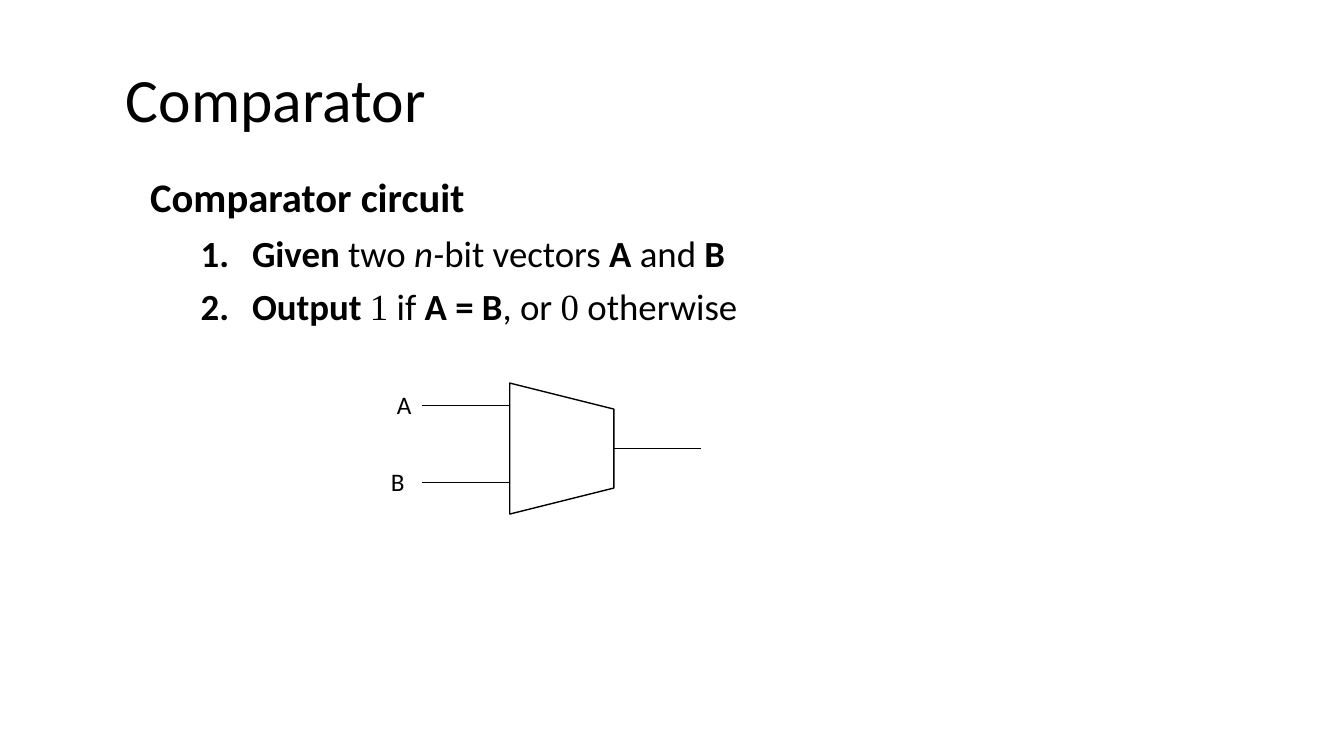
from lxml.etree import SubElement
from pptx import Presentation
from pptx.dml.color import RGBColor
from pptx.enum.shapes import MSO_CONNECTOR as Connector, MSO_SHAPE as Preset
from pptx.enum.text import MSO_ANCHOR as Anchor, MSO_AUTO_SIZE as AutoSize, PP_ALIGN as Align
from pptx.oxml.ns import qn
from pptx.util import Inches, Pt

BLACK = RGBColor(0, 0, 0)
TEXT_FONT, DIGIT_FONT = "Calibri", "Times New Roman"
WIDTH, HEIGHT = Inches(13.33), Inches(7.5)
GRID = 40  # columns and rows across the slide

# Each run is a text with its style: "b" bold, "i" italic, "d" digit font
STEPS = [
    [("Given ", "b"), ("two ", ""), ("n-", "i"), ("bit vectors ", ""),
     ("A", "b"), (" and ", ""), ("B", "b")],
    [("Output ", "b"), ("1", "d"), (" if ", ""), ("A = B", "b"),
     (", or ", ""), ("0", "d"), (" otherwise", "")],
]
# Label, its left column and the row of its wire
INPUTS = [("A", 11.52, 21.44), ("B", 11.34, 25.5)]
WIRE_LENGTH = 2.6
GATE_LEFT, GATE_TOP, GATE_WIDTH, GATE_HEIGHT = 15.17, 20.27, 3.1, 6.93


def col(count):
    return int(WIDTH * count / GRID)


def row(count):
    return int(HEIGHT * count / GRID)


def place(shape, left, top, width, height):
    shape.left, shape.top = col(left), row(top)
    shape.width, shape.height = col(width), row(height)


def set_font(font, size, bold=None):
    font.name, font.size, font.bold = TEXT_FONT, Pt(size), bold
    font.color.rgb = BLACK


def set_frame(frame, anchor, left, top):
    frame.auto_size, frame.vertical_anchor = AutoSize.NONE, anchor
    frame.margin_left, frame.margin_top = Inches(left), Inches(top)
    frame.margin_right = frame.margin_bottom = 0


def set_bullet(paragraph, left, indent, kind, **attributes):
    properties = paragraph._p.get_or_add_pPr()
    properties.set("marL", str(Inches(left)))
    properties.set("indent", str(Inches(indent)))
    SubElement(properties, qn(kind), **attributes)


def add_title(slide, text):
    title = slide.shapes.title
    place(title, 3.75, 2, 33.96, 6.67)
    set_frame(title.text_frame, Anchor.MIDDLE, 0, 0.04)
    title.text_frame.text = text
    paragraph = title.text_frame.paragraphs[0]
    paragraph.alignment, paragraph.line_spacing = Align.LEFT, 0.9
    set_font(paragraph.font, 44)


def add_step(frame, runs):
    paragraph = frame.add_paragraph()
    paragraph.level = 1
    paragraph.line_spacing, paragraph.space_before = 0.9, Pt(10)
    set_bullet(paragraph, 1.01, -0.51, "a:buAutoNum", type="arabicPeriod")
    for text, style in runs:
        run = paragraph.add_run()
        run.text = text
        set_font(run.font, 26.3, style == "b")
        run.font.italic = style == "i"
        if style == "d":
            run.font.name = DIGIT_FONT


def add_body(slide, heading, steps):
    body = slide.placeholders[1]
    place(body, 4.17, 9.23, 34.88, 10)
    frame = body.text_frame
    set_frame(frame, Anchor.TOP, 0.1, 0.03)
    frame.text = heading
    paragraph = frame.paragraphs[0]
    paragraph.line_spacing, paragraph.space_before = 0.9, Pt(0)
    set_bullet(paragraph, 0, 0, "a:buNone")
    set_font(paragraph.font, 29, True)
    for runs in steps:
        add_step(frame, runs)


def add_wire(slide, left, level):
    wire = slide.shapes.add_connector(
        Connector.STRAIGHT, col(left), row(level), col(left + WIRE_LENGTH), row(level))
    wire.line.color.rgb, wire.line.width = BLACK, Pt(0.5)
    SubElement(wire._element.spPr, qn("a:effectLst"))


def add_label(slide, text, left, level):
    box = slide.shapes.add_textbox(col(left), row(level - 1.1), col(1.05), row(2.13))
    box.text_frame.text = text
    set_font(box.text_frame.paragraphs[0].font, 18)


def add_gate(slide):
    """Trapezoid turned so that its short side faces right."""
    width, height = row(GATE_HEIGHT), col(GATE_WIDTH)
    centre_x = col(GATE_LEFT + GATE_WIDTH / 2)
    centre_y = row(GATE_TOP + GATE_HEIGHT / 2)
    gate = slide.shapes.add_shape(
        Preset.TRAPEZOID, centre_x - width // 2, centre_y - height // 2, width, height)
    gate.rotation = 90
    gate.shadow.inherit = False
    gate.fill.background()
    gate.line.color.rgb, gate.line.width = BLACK, Pt(1)


def main():
    presentation = Presentation()
    presentation.slide_width, presentation.slide_height = WIDTH, HEIGHT
    slide = presentation.slides.add_slide(presentation.slide_layouts[1])
    add_title(slide, "Comparator")
    add_body(slide, "Comparator circuit", STEPS)
    add_gate(slide)
    for text, left, level in INPUTS:
        add_wire(slide, GATE_LEFT - WIRE_LENGTH, level)
        add_label(slide, text, left, level)
    add_wire(slide, GATE_LEFT + GATE_WIDTH, GATE_TOP + GATE_HEIGHT / 2)
    presentation.save("out.pptx")


if __name__ == "__main__":
    main()
